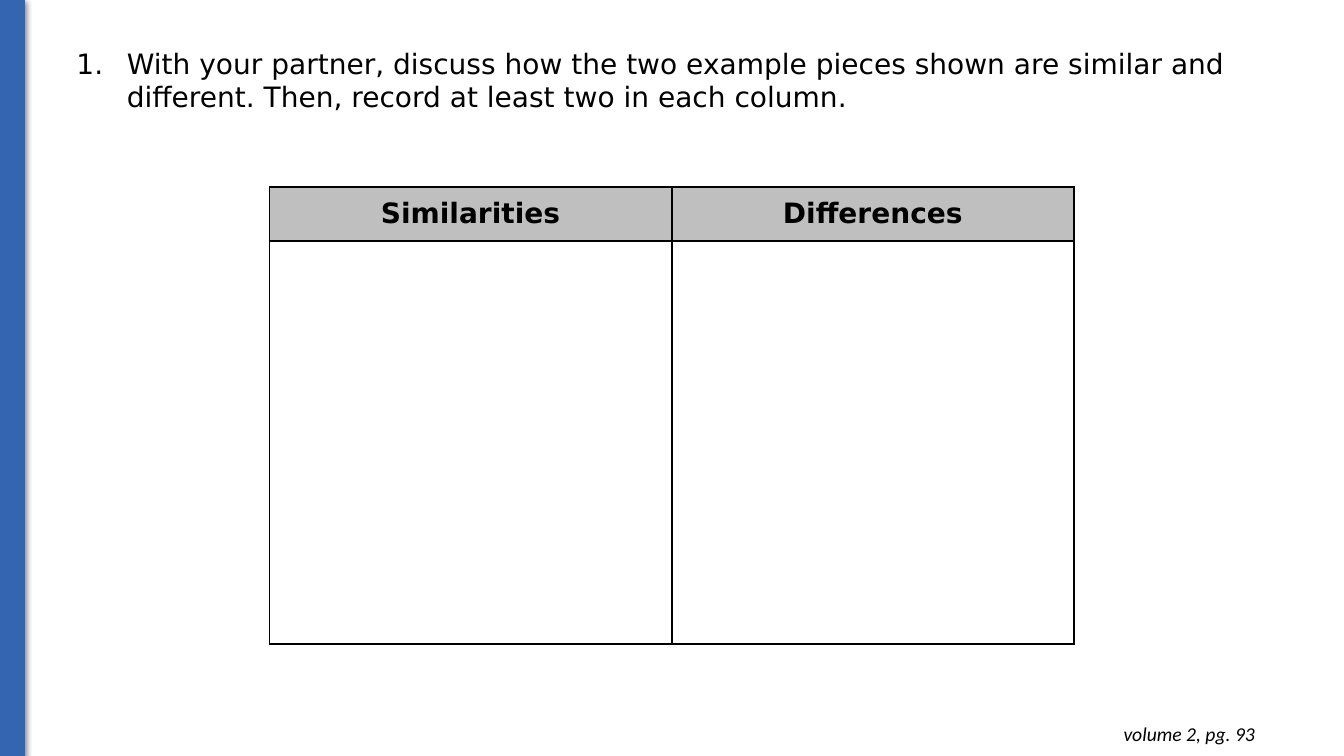
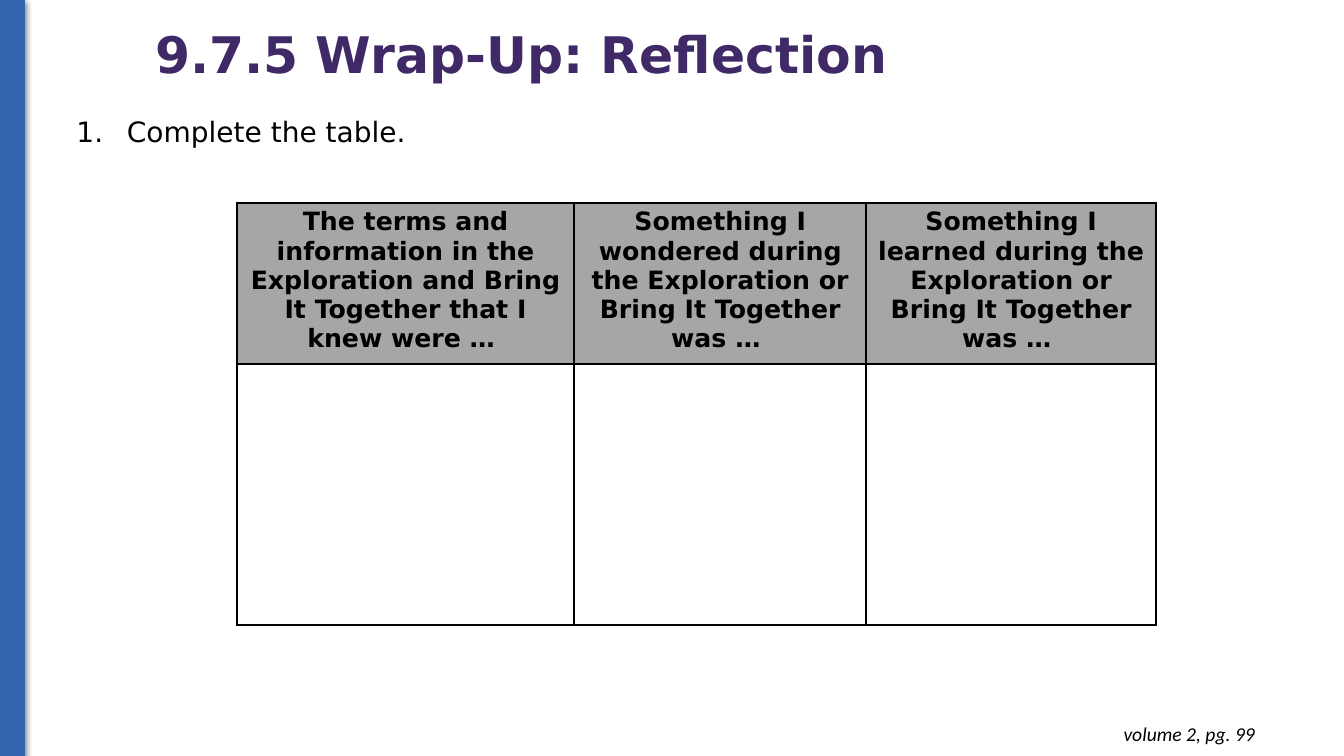
from pptx import Presentation
from pptx.dml.color import RGBColor
from pptx.enum.shapes import MSO_SHAPE
from pptx.enum.text import MSO_ANCHOR, MSO_AUTO_SIZE, PP_ALIGN
from pptx.oxml import parse_xml
from pptx.oxml.ns import nsdecls
from pptx.util import Pt

WIDE, HIGH = 960, 540
BLACK, BLUE, PURPLE = "000000", "3465B0", "3F2A67"
SANS = "DejaVu Sans"

BODY = {"name": SANS, "size": Pt(20)}
TITLE = {"name": SANS, "size": Pt(36), "bold": True}
FOOT = {"name": "Calibri", "size": Pt(14), "italic": True}

SLIDES = [
    {
        "task": "With your partner, discuss how the two example pieces shown are "
                "similar and different. Then, record at least two in each column.",
        "task_box": (47.5, 29.5, 866, 55.5),
        "table": {
            "heads": ["Similarities", "Differences"],
            "at": (192.5, 133.7),
            "cols": [287.3, 287.3],
            "rows": [38.5, 288],
            "fill": "BFBFBF",
            "size": 20,
            "inset": 7.2,
            "anchor": MSO_ANCHOR.MIDDLE,
        },
        "page": 93,
    },
    {
        "title": "9.7.5 Wrap-Up: Reflection",
        "task": "Complete the table.",
        "task_box": (47.5, 78.5, 867.5, 31.5),
        "table": {
            "heads": [
                "The terms and information in the Exploration and Bring It "
                "Together that I knew were … ",
                "Something I wondered during the Exploration or Bring It "
                "Together was … ",
                "Something I learned during the Exploration or Bring It "
                "Together was … ",
            ],
            "at": (169.2, 144.7),
            "cols": [241, 208.6, 207],
            "rows": [115, 186.5],
            "fill": "A6A6A6",
            "size": 18,
            "inset": 3.6,
            "anchor": MSO_ANCHOR.TOP,
        },
        "page": 99,
    },
]


def rgb(code):
    return RGBColor.from_string(code)


def style(item, looks):
    for key, value in looks.items():
        setattr(item, key, value)


def write(para, text, looks, color=BLACK):
    run = para.add_run()
    run.text = text
    style(run.font, looks)
    run.font.color.rgb = rgb(color)


def add_box(slide, box, inset=3.6):
    """Add a wrapping text box and return its frame and first paragraph."""
    frame = slide.shapes.add_textbox(*map(Pt, box)).text_frame
    style(frame, {
        "word_wrap": True,
        "auto_size": MSO_AUTO_SIZE.SHAPE_TO_FIT_TEXT,
        "margin_top": Pt(inset),
        "margin_bottom": Pt(inset),
    })
    return frame, frame.paragraphs[0]


def add_band(slide):
    band = slide.shapes.add_shape(MSO_SHAPE.RECTANGLE, 0, 0, Pt(17.5), Pt(HIGH))
    band.fill.solid()
    band.fill.fore_color.rgb = rgb(BLUE)
    band.line.color.rgb = rgb(BLUE)
    band.line.width = Pt(0.75)
    band.shadow.inherit = False
    effects = band._element.spPr.find("{*}effectLst")
    effects.append(parse_xml(
        f'<a:outerShdw {nsdecls("a")} blurRad="{Pt(4.5)}" dist="{Pt(1.5)}" '
        f'dir="5400000" rotWithShape="0"><a:srgbClr val="{BLACK}">'
        '<a:alpha val="50000"/></a:srgbClr></a:outerShdw>'))


def add_title(slide, text):
    frame, para = add_box(slide, (103.7, 17.3, 631.5, 46.8))
    frame.vertical_anchor = MSO_ANCHOR.MIDDLE
    para.line_spacing = 0.9
    write(para, text, TITLE, PURPLE)


def add_task(slide, text, box):
    """Add the instruction as a numbered paragraph with a hanging indent."""
    para = add_box(slide, box)[1]
    props = para._p.get_or_add_pPr()
    props.set("marL", str(Pt(36)))
    props.set("indent", str(Pt(-36)))
    for tag in (f'<a:buClr {nsdecls("a")}><a:srgbClr val="{BLACK}"/></a:buClr>',
                f'<a:buFont {nsdecls("a")} typeface="{SANS}"/>',
                f'<a:buAutoNum {nsdecls("a")} type="arabicPeriod"/>'):
        props.append(parse_xml(tag))
    write(para, text, BODY)


def add_foot(slide, page):
    para = add_box(slide, (696.2, 508.3, 207.4, 31.7), 7.2)[1]
    para.alignment = PP_ALIGN.RIGHT
    write(para, f"volume 2, pg. {page}", FOOT)


def add_rules(cell):
    """Draw a black line on all four sides of the cell."""
    props = cell._tc.get_or_add_tcPr()
    for side in "LRTB":
        props.append(parse_xml(
            f'<a:ln{side} {nsdecls("a")} w="{Pt(1.5)}"><a:solidFill>'
            f'<a:srgbClr val="{BLACK}"/></a:solidFill></a:ln{side}>'))


def add_grid(slide, heads, at, cols, rows, fill, size, inset, anchor):
    """Add a table with one header row above empty cells to fill in."""
    area = (*at, sum(cols), sum(rows))
    table = slide.shapes.add_table(len(rows), len(cols), *map(Pt, area)).table
    style(table, {"first_row": False, "horz_banding": False})
    for col, width in zip(table.columns, cols):
        col.width = Pt(width)
    for row, height in zip(table.rows, rows):
        row.height = Pt(height)
    for cell in table.iter_cells():
        add_rules(cell)
        cell.fill.background()
    for cell, text in zip(table.rows[0].cells, heads):
        cell.fill.solid()
        cell.fill.fore_color.rgb = rgb(fill)
        style(cell, {"vertical_anchor": anchor, "margin_top": Pt(inset),
                     "margin_bottom": Pt(inset)})
        para = cell.text_frame.paragraphs[0]
        para.alignment = PP_ALIGN.CENTER
        write(para, text, {"name": SANS, "size": Pt(size), "bold": True})


def main():
    deck = Presentation()
    style(deck, {"slide_width": Pt(WIDE), "slide_height": Pt(HIGH)})
    for data in SLIDES:
        slide = deck.slides.add_slide(deck.slide_layouts[6])
        add_band(slide)
        if "title" in data:
            add_title(slide, data["title"])
        add_task(slide, data["task"], data["task_box"])
        add_grid(slide, **data["table"])
        add_foot(slide, data["page"])
    deck.save("out.pptx")


if __name__ == "__main__":
    main()
